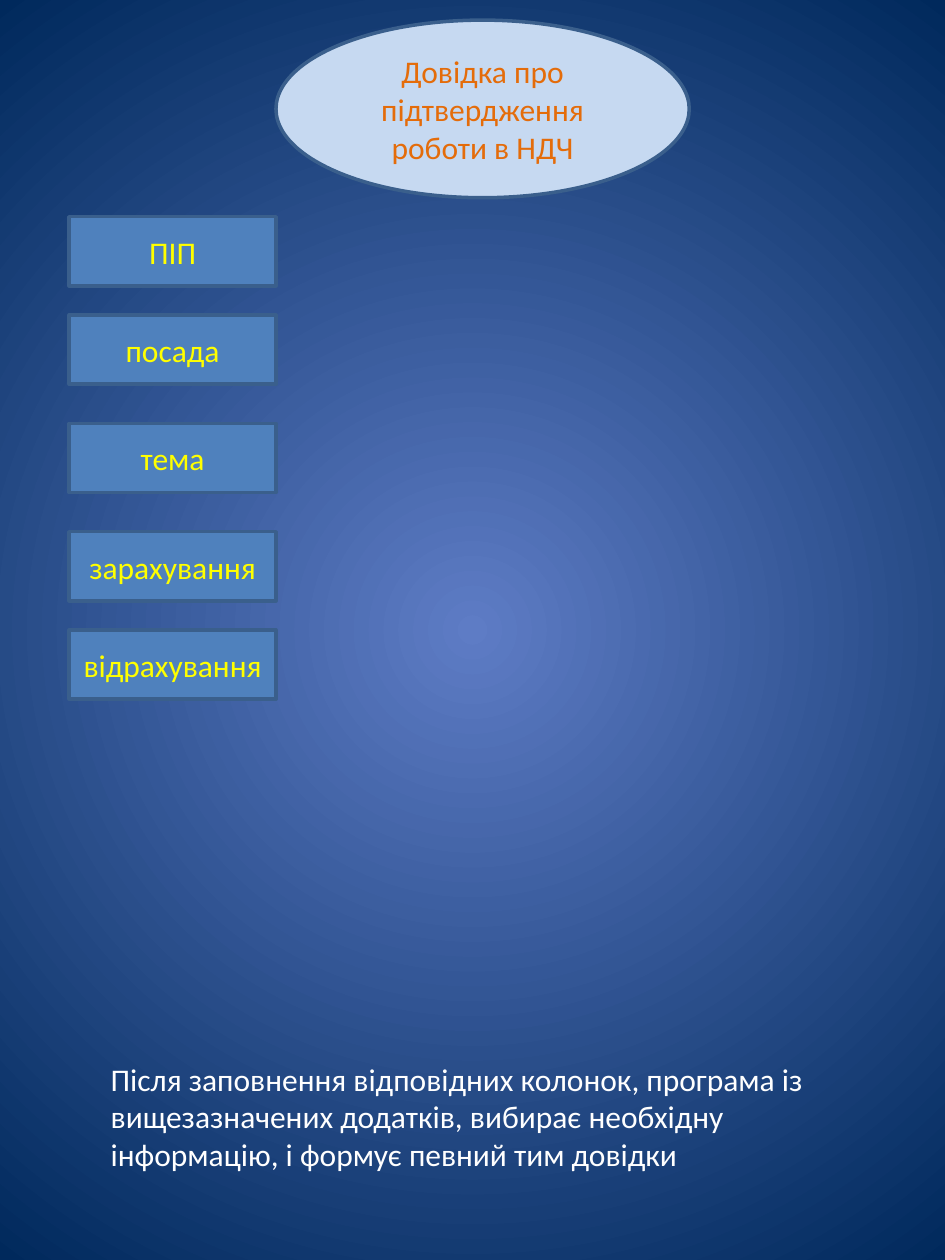
from dataclasses import dataclass

from lxml import etree
from pptx import Presentation
from pptx import util as u
from pptx.dml.color import RGBColor
from pptx.enum import shapes, text
from pptx.oxml import ns


@dataclass(frozen=True)
class Theme:
    font: str = "Calibri"
    size: int = 18
    glow: str = "5E7CC5"
    edge: str = "00295C"
    outline: str = "3A5F8C"
    outline_width: int = 2
    heading_fill: str = "C6D9F1"
    heading_text: str = "E46C0A"
    field_fill: str = "4F81BD"
    field_text: str = "FFFF00"
    note_text: str = "FFFFFF"


THEME = Theme()
FIELDS = [("ПІП", 0), ("посада", 0.78), ("тема", 1.64),
          ("зарахування", 2.5), ("відрахування", 3.28)]  # label, offset from first


def paint_background(slide):
    """Radial gradient, light in the middle."""
    fill = slide.background.fill
    fill.gradient()
    for stop, position, color in zip(fill.gradient_stops, (0, 1), (THEME.glow, THEME.edge)):
        stop.position = position
        stop.color.rgb = RGBColor.from_string(color)
    linear = slide.element.xpath(".//p:bg//a:lin")[0]
    radial = etree.Element(ns.qn("a:path"), path="circle")
    etree.SubElement(radial, ns.qn("a:fillToRect"),
                     {side: "50000" for side in "ltrb"})
    linear.getparent().replace(linear, radial)


def write(frame, words, color, align):
    frame.word_wrap = True
    paragraph = frame.paragraphs[0]
    paragraph.text = words
    paragraph.alignment = align
    paragraph.font.name = THEME.font
    paragraph.font.size = u.Pt(THEME.size)
    paragraph.font.color.rgb = RGBColor.from_string(color)


def add_label(slide, kind, box, words, fill, color):
    """Outlined shape with centred text."""
    label = slide.shapes.add_shape(kind, *map(u.Inches, box))
    label.shadow.inherit = False
    label.fill.solid()
    label.fill.fore_color.rgb = RGBColor.from_string(fill)
    label.line.color.rgb = RGBColor.from_string(THEME.outline)
    label.line.width = u.Pt(THEME.outline_width)
    label.text_frame.vertical_anchor = text.MSO_ANCHOR.MIDDLE
    write(label.text_frame, words, color, text.PP_ALIGN.CENTER)


def add_heading(slide, box):
    add_label(slide, shapes.MSO_SHAPE.OVAL, box, "Довідка про підтвердження роботи в НДЧ",
              THEME.heading_fill, THEME.heading_text)


def add_fields(slide, box):
    left, top, width, height = box
    field_height = height - FIELDS[-1][1]
    for name, offset in FIELDS:
        add_label(slide, shapes.MSO_SHAPE.RECTANGLE,
                  (left, top + offset, width, field_height),
                  name, THEME.field_fill, THEME.field_text)


def add_note(slide, box):
    note = slide.shapes.add_textbox(*map(u.Inches, box)).text_frame
    write(note, "Після заповнення відповідних колонок, програма із вищезазначених додатків, "
          "вибирає необхідну інформацію, і формує певний тим довідки",
          THEME.note_text, text.PP_ALIGN.LEFT)
    note.auto_size = text.MSO_AUTO_SIZE.SHAPE_TO_FIT_TEXT


def main():
    deck = Presentation()
    deck.slide_width, deck.slide_height = u.Inches(7.5), u.Inches(10)
    slide = deck.slides.add_slide(deck.slide_layouts.get_by_name("Blank"))
    paint_background(slide)
    add_heading(slide, (2.19, 0.16, 3.28, 1.41))
    add_fields(slide, (0.55, 1.72, 1.64, 3.83))
    add_note(slide, (0.78, 8.36, 6.02, 1.01))
    deck.save("out.pptx")


if __name__ == "__main__":
    main()
